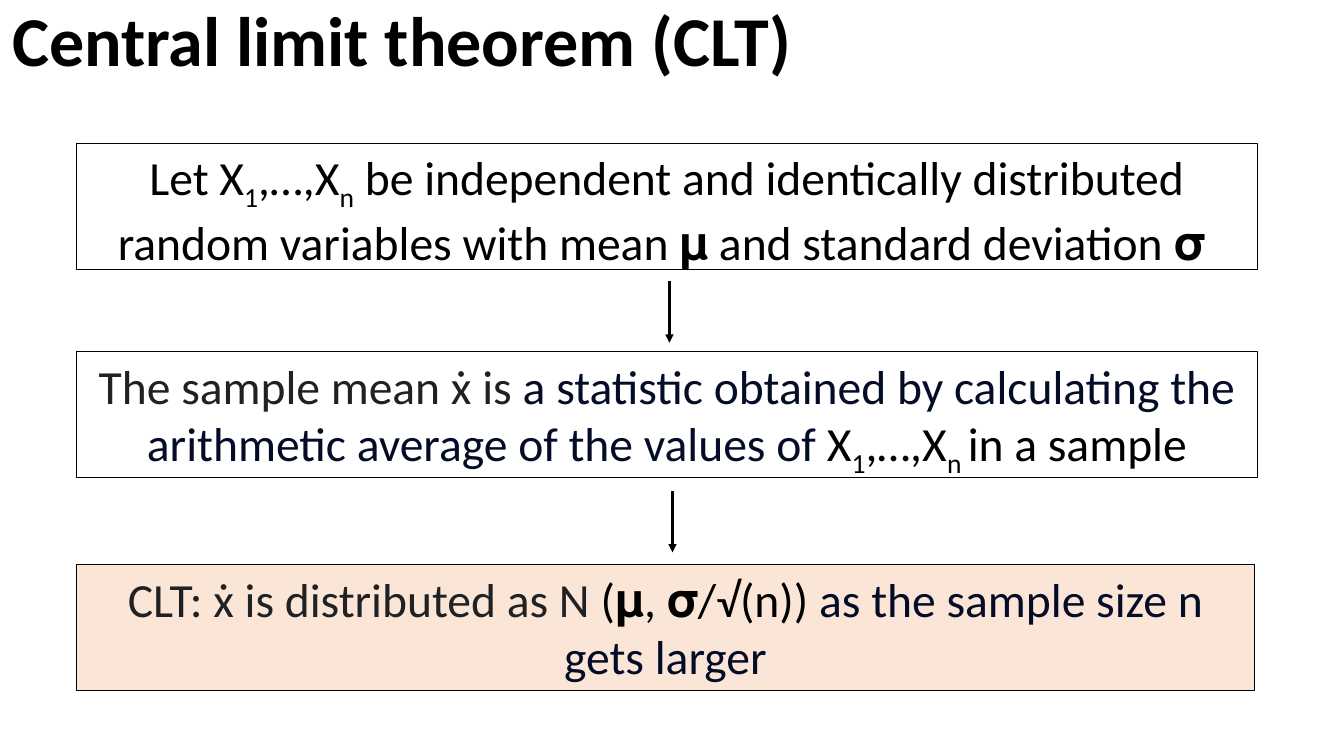
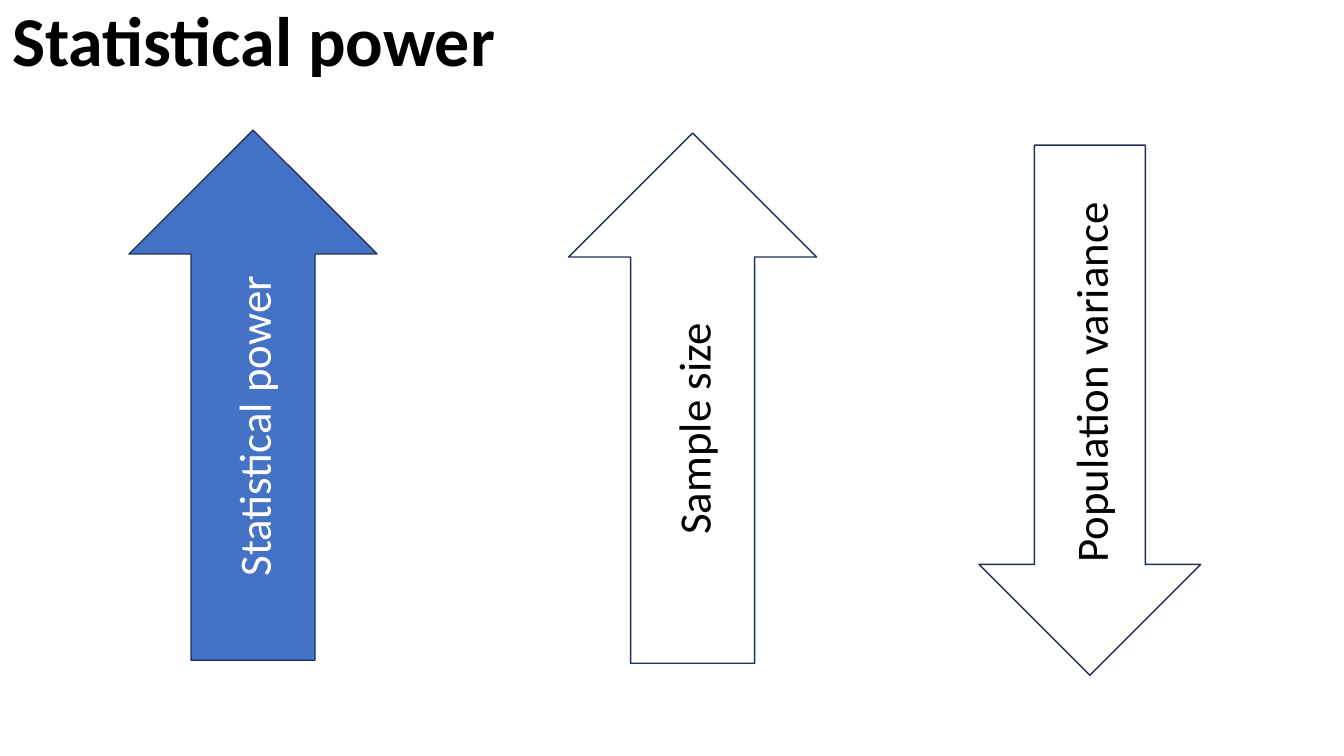
from lxml.etree import SubElement
from pptx import Presentation
from pptx.dml.color import RGBColor
from pptx.enum.shapes import MSO_CONNECTOR, MSO_SHAPE
from pptx.enum.text import MSO_ANCHOR, MSO_AUTO_SIZE, PP_ALIGN
from pptx.oxml.ns import qn
from pptx.util import Inches, Pt

COLOURS = {
    "black": "000000",
    "white": "FFFFFF",
    "charcoal": "202124",
    "ink": "040C28",
    "peach": "FBE5D6",
    "blue": "4472C4",
    "navy": "1E3256",
}
FONT = "Calibri"


def rgb(colour):
    return RGBColor.from_string(COLOURS[colour])


class Deck:
    def __init__(self):
        self.presentation = Presentation()
        self.presentation.slide_width = Inches(13.33)
        self.presentation.slide_height = Inches(7.5)
        self.slide = None

    def add_slide(self, heading):
        self.slide = self.presentation.slides.add_slide(self.presentation.slide_layouts[5])
        title = self.slide.shapes.title
        title.left, title.top = Inches(0.02), Inches(0.04)
        title.width, title.height = Inches(13.3), Inches(0.79)
        frame = title.text_frame
        frame.auto_size = MSO_AUTO_SIZE.NONE
        frame.vertical_anchor = MSO_ANCHOR.MIDDLE
        paragraph = frame.paragraphs[0]
        paragraph.alignment = PP_ALIGN.LEFT
        paragraph.line_spacing = 0.9
        self.add_run(paragraph, heading, 50, "black", bold=True)

    def add_run(self, paragraph, text, size, colour, bold=False, subscript=False):
        run = paragraph.add_run()
        run.text = text
        run.font.name = FONT
        run.font.size = Pt(size)
        run.font.bold = bold
        run.font.color.rgb = rgb(colour)
        if subscript:
            run.font._element.set("baseline", "-25000")

    def add_outline(self, preset, left, top, width, height, fill, line, line_width):
        shape = self.slide.shapes.add_shape(
            preset, Inches(left), Inches(top), Inches(width), Inches(height)
        )
        shape.shadow.inherit = False
        if fill:
            shape.fill.solid()
            shape.fill.fore_color.rgb = rgb(fill)
        else:
            shape.fill.background()
        shape.line.color.rgb = rgb(line)
        shape.line.width = Pt(line_width)
        shape.text_frame.word_wrap = True
        shape.text_frame.paragraphs[0].alignment = PP_ALIGN.CENTER
        return shape

    def add_statement(self, top, width, runs, fill=None):
        box = self.add_outline(
            MSO_SHAPE.RECTANGLE, 0.76, top, width, 1.25, fill, "black", 0.75
        )
        box.text_frame.vertical_anchor = MSO_ANCHOR.TOP
        for text, colour, subscript in runs:
            self.add_run(
                box.text_frame.paragraphs[0], text, 34, colour, subscript=subscript
            )

    def add_step(self, x, top):
        step = self.slide.shapes.add_connector(
            MSO_CONNECTOR.STRAIGHT, Inches(x), Inches(top), Inches(x), Inches(top + 0.61)
        )
        step.line.color.rgb = rgb("black")
        step.line.width = Pt(1.5)
        SubElement(step.line._get_or_add_ln(), qn("a:tailEnd"), type="triangle")
        SubElement(step._element.spPr, qn("a:effectLst"))

    def add_trend(self, preset, left, top, width, label, fill, colour):
        trend = self.add_outline(preset, left, top, width, 5.26, fill, "navy", 1)
        frame = trend.text_frame
        frame.vertical_anchor = MSO_ANCHOR.MIDDLE
        frame._txBody.bodyPr.set("vert", "vert270")
        self.add_run(frame.paragraphs[0], label, 32, colour)

    def save(self):
        self.presentation.save("out.pptx")


def main():
    deck = Deck()

    deck.add_slide("Central limit theorem (CLT)")
    deck.add_statement(1.42, 11.71, [
        ("Let X", "black", False),
        ("1", "black", True),
        (",…,X", "black", False),
        ("n", "black", True),
        (" be independent and identically distributed random variables "
         "with mean 𝛍 and standard deviation 𝛔 ", "black", False),
    ])
    deck.add_statement(3.49, 11.71, [
        ("The sample mean ẋ is ", "charcoal", False),
        ("a statistic obtained by calculating the arithmetic average "
         "of the values of ", "ink", False),
        ("X", "black", False),
        ("1", "black", True),
        (",…,X", "black", False),
        ("n ", "black", True),
        ("in a sample", "black", False),
    ])
    deck.add_statement(5.6, 11.68, [
        ("CLT: ẋ is distributed as N", "charcoal", False),
        (" (𝛍, 𝛔/√(n)) ", "black", False),
        ("as the sample size n gets larger", "ink", False),
    ], fill="peach")
    deck.add_step(6.64, 2.79)
    deck.add_step(6.67, 4.87)

    deck.add_slide("Statistical power")
    up, down = MSO_SHAPE.UP_ARROW, MSO_SHAPE.DOWN_ARROW
    deck.add_trend(up, 1.28, 1.29, 2.46, "Statistical power", "blue", "white")
    deck.add_trend(up, 5.64, 1.32, 2.46, "Sample size", "white", "black")
    deck.add_trend(down, 9.71, 1.44, 2.2, "Population variance", None, "black")

    deck.save()


if __name__ == "__main__":
    main()
